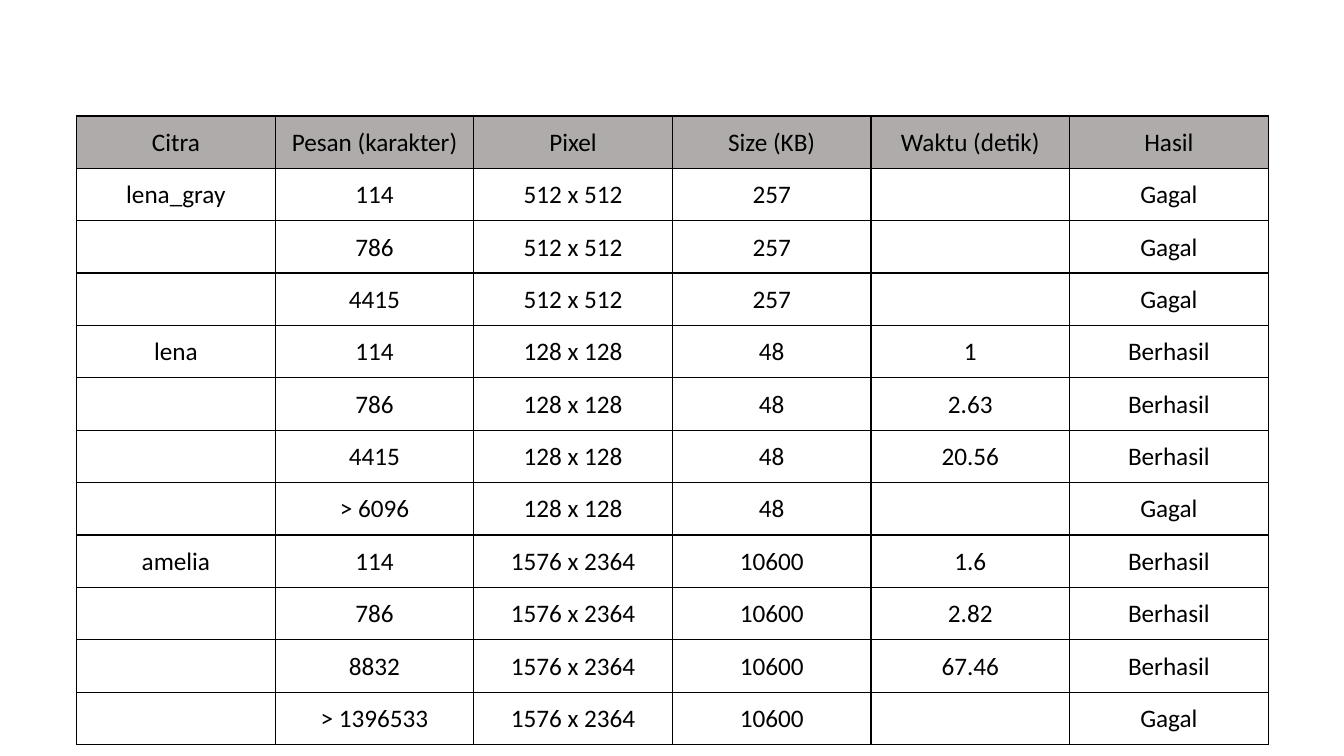
"""Build a slide with a table of message-hiding test results per image."""
import pptx
import pptx.dml.color
import pptx.enum.text
import pptx.oxml
import pptx.oxml.ns
import pptx.util

INK = "000000"
HEADER_GRAY = "AFABAB"
BORDER_POINTS = 1
LEFT, TOP = 0.76, 1.15
COLUMN_WIDTH, ROW_HEIGHT = 1.97, 0.52


def color(value):
    return pptx.dml.color.RGBColor.from_string(value)


def add_borders(cell):
    properties = cell._tc.get_or_add_tcPr()
    for side in ("lnL", "lnR", "lnT", "lnB"):
        properties.append(pptx.oxml.parse_xml(
            f'<a:{side} {pptx.oxml.ns.nsdecls("a")} w="{pptx.util.Pt(BORDER_POINTS)}">'
            f'<a:solidFill><a:srgbClr val="{INK}"/></a:solidFill></a:{side}>'))


headings = ["Citra", "Pesan (karakter)", "Pixel", "Size (KB)", "Waktu (detik)", "Hasil"]
images = [
    ("lena_gray", "512 x 512", "257",
     [("114", ""), ("786", ""), ("4415", "")]),
    ("lena", "128 x 128", "48",
     [("114", "1"), ("786", "2.63"), ("4415", "20.56"), ("> 6096", "")]),
    ("amelia", "1576 x 2364", "10600",
     [("114", "1.6"), ("786", "2.82"), ("8832", "67.46"), ("> 1396533", "")]),
]

records = [headings]
for image, pixels, size, trials in images:
    for number, (message, seconds) in enumerate(trials):
        outcome = "Berhasil" if seconds else "Gagal"
        records.append(["" if number else image, message, pixels, size, seconds, outcome])

deck = pptx.Presentation()
deck.slide_width = pptx.util.Inches(13.33)
deck.slide_height = pptx.util.Inches(7.5)
slide = deck.slides.add_slide(deck.slide_layouts[6])

results = slide.shapes.add_table(
    len(records), len(headings),
    pptx.util.Inches(LEFT), pptx.util.Inches(TOP),
    pptx.util.Inches(COLUMN_WIDTH * len(headings)),
    pptx.util.Inches(ROW_HEIGHT * len(records))).table
results.horz_banding = False
for column in results.columns:
    column.width = pptx.util.Inches(COLUMN_WIDTH)

for row, record in enumerate(records):
    results.rows[row].height = pptx.util.Inches(ROW_HEIGHT)
    for column, wording in enumerate(record):
        cell = results.cell(row, column)
        cell.margin_left = cell.margin_right = cell.margin_top = pptx.util.Inches(0.01)
        cell.margin_bottom = 0
        cell.vertical_anchor = pptx.enum.text.MSO_ANCHOR.MIDDLE
        add_borders(cell)
        if row == 0:
            cell.fill.solid()
            cell.fill.fore_color.rgb = color(HEADER_GRAY)
        else:
            cell.fill.background()
        if wording:
            paragraph = cell.text_frame.paragraphs[0]
            paragraph.alignment = pptx.enum.text.PP_ALIGN.CENTER
            run = paragraph.add_run()
            run.text = wording
            run.font.name = "Calibri"
            run.font.size = pptx.util.Pt(18)
            run.font.bold = False
            run.font.color.rgb = color(INK)

deck.save("out.pptx")
